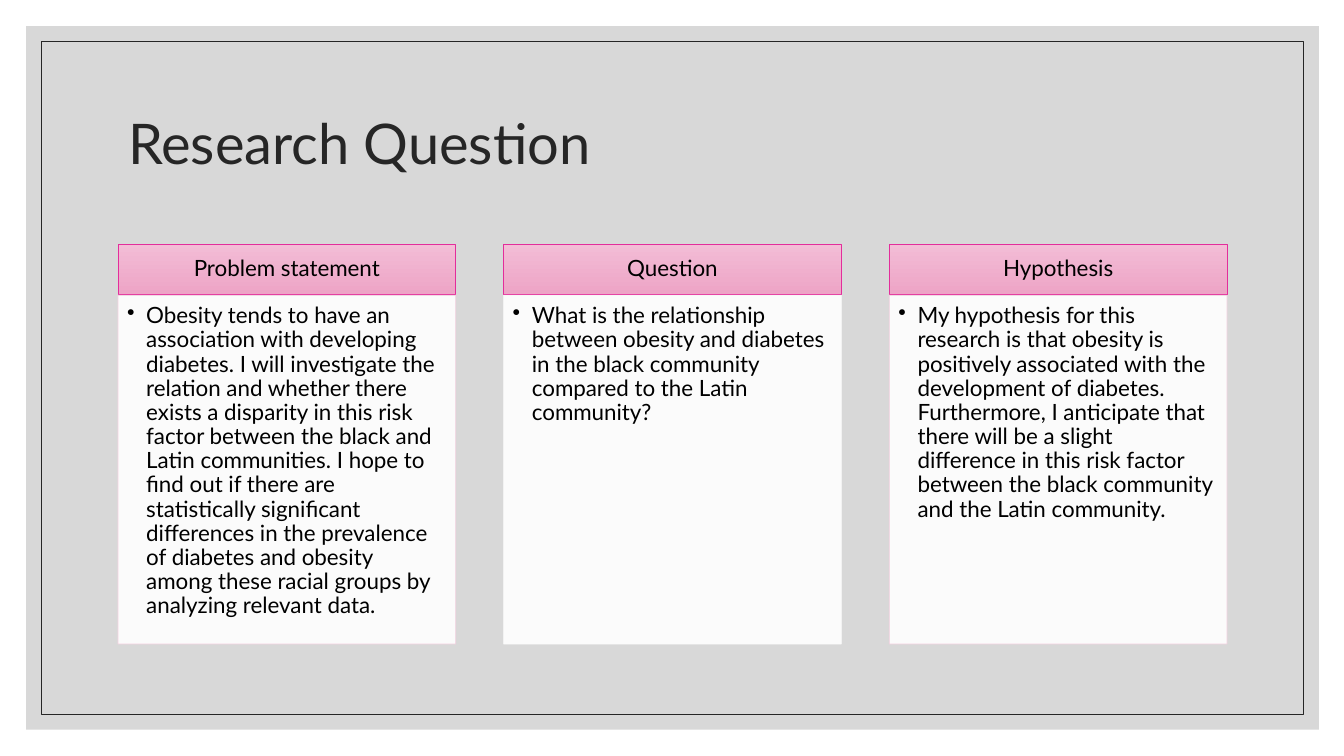
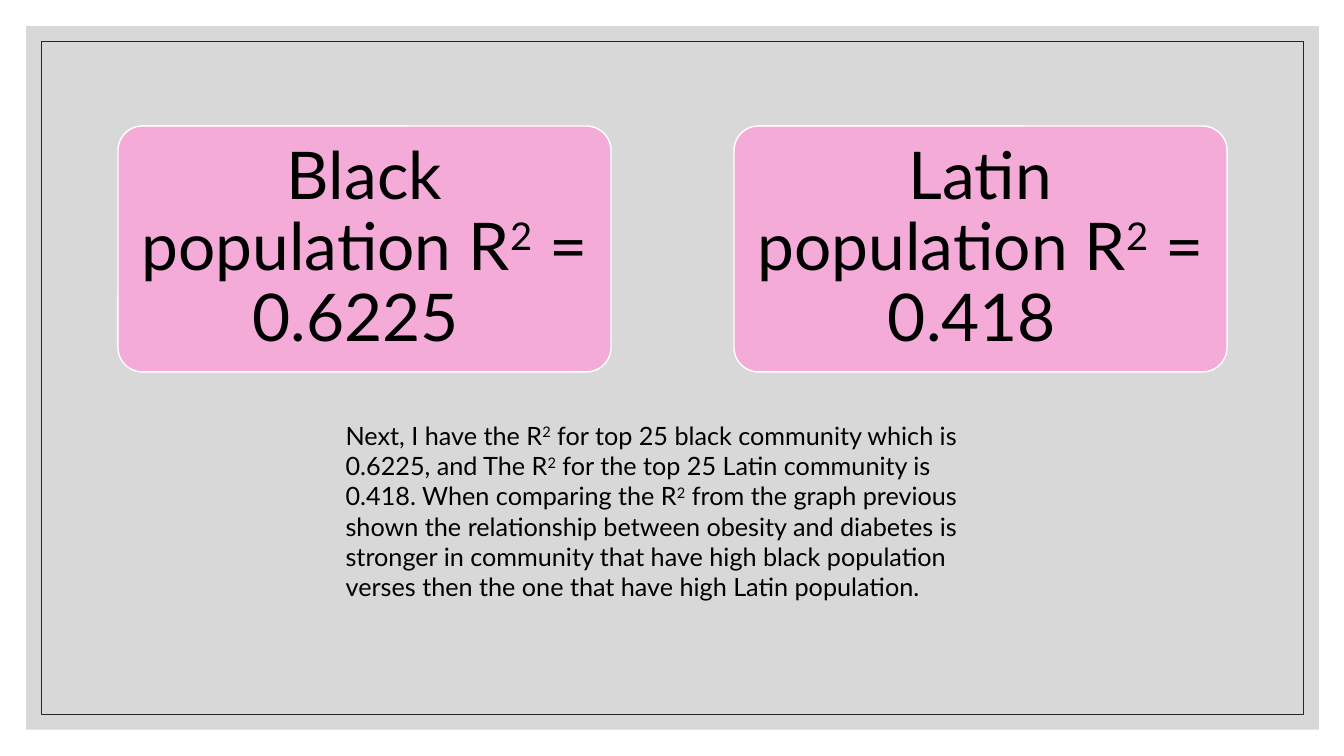
from pptx import Presentation
from pptx.dml.color import RGBColor
from pptx.enum.shapes import MSO_SHAPE
from pptx.enum.text import MSO_ANCHOR, MSO_AUTO_SIZE, PP_ALIGN
from pptx.oxml.ns import qn
from pptx.util import Inches, Pt
from lxml.etree import SubElement

COLORS = {
    "panel": "BFBFBF",
    "frame": "262626",
    "text": "000000",
    "white": "FFFFFF",
    "header_top": "F3BDD6",
    "header_bottom": "EDA4C6",
    "header_line": "E32D9B",
    "card_line": "F4CDDE",
    "result": "F4ABD7",
}
FONT = "Lato"
LEFT = 1.17
CONTENT_WIDTH = 11

COLUMNS = [
    ("Problem statement", "card_line",
     "Obesity tends to have an association with developing diabetes. I will investigate "
     "the relation and whether there exists a disparity in this risk factor between the "
     "black and Latin communities. I hope to find out if there are statistically "
     "significant differences in the prevalence of diabetes and obesity among these "
     "racial groups by analyzing relevant data."),
    ("Question", "white",
     "What is the relationship between obesity and diabetes in the black community "
     "compared to the Latin community?"),
    ("Hypothesis", "card_line",
     "My hypothesis for this research is that obesity is positively associated with the "
     "development of diabetes. Furthermore, I anticipate that there will be a slight "
     "difference in this risk factor between the black community and the Latin community."),
]
RESULTS = [
    ("Black population R", "2", " = 0.6225 "),
    ("Latin population R", "2", " = 0.418 "),
]
SUMMARY = (
    "Next, I have the R", "2",
    " for top 25 black community which is 0.6225, and The R", "2",
    " for the top 25 Latin community is 0.418. When comparing the R", "2",
    " from the graph previous shown the relationship between obesity and diabetes is "
    "stronger in community that have high black population verses then the one that "
    "have high Latin population.",
)


def rgb(name):
    """Return the named colour."""
    return RGBColor.from_string(COLORS[name])


def column_lefts(count, width):
    """Return left edges that spread equal columns over the content width."""
    step = (CONTENT_WIDTH - width) / (count - 1)
    return [LEFT + index * step for index in range(count)]


class Deck:
    """Hold the shared style and the current slide."""

    def __init__(self):
        """Start a widescreen presentation."""
        self.presentation = Presentation()
        self.presentation.slide_width = Inches(13.33)
        self.presentation.slide_height = Inches(7.5)
        self.slide = None

    def add_slide(self, layout_name):
        """Add a slide and make it current."""
        layout = self.presentation.slide_layouts.get_by_name(layout_name)
        self.slide = self.presentation.slides.add_slide(layout)

    def add_background(self):
        """Place the grey panel and the thin frame on the slide master."""
        panel = self.add_box((0.26, 0.26, 12.82, 6.98), fill="panel", alpha=60)
        frame = self.add_box((0.41, 0.41, 12.52, 6.68), line="frame")
        tree = self.presentation.slide_master.shapes.element
        for index, shape in enumerate((panel, frame)):
            shape.element.nvSpPr.cNvPr.set("id", str(100 + index))
            tree.insert(2 + index, shape.element)

    def add_box(self, box, fill=None, line=None, line_width=0.5, alpha=None,
                kind=MSO_SHAPE.RECTANGLE):
        """Add a shape; a pair of fill colours makes a vertical gradient."""
        shape = self.slide.shapes.add_shape(kind, *map(Inches, box))
        shape.shadow.inherit = False
        if isinstance(fill, tuple):
            shape.fill.gradient()
            shape.fill.gradient_angle = 270
            for stop, name in zip(shape.fill.gradient_stops, fill):
                stop.color.rgb = rgb(name)
        elif fill:
            shape.fill.solid()
            shape.fill.fore_color.rgb = rgb(fill)
        else:
            shape.fill.background()
        if line:
            shape.line.color.rgb = rgb(line)
            shape.line.width = Pt(line_width)
        else:
            shape.line.fill.background()
        if alpha:
            for color in shape.element.spPr.xpath(".//a:solidFill/a:srgbClr"):
                SubElement(color, qn("a:alpha"), val=str(alpha * 1000))
        return shape

    def set_text(self, shape, pieces, size, color="text", margins=(0.1, 0.05, 0.1, 0.05),
                 anchor=MSO_ANCHOR.MIDDLE, align=PP_ALIGN.CENTER, spacing=0.9, bullet=None):
        """Fill one paragraph in which every second piece is superscript."""
        frame = shape.text_frame
        sides = ("margin_left", "margin_top", "margin_right", "margin_bottom")
        frame_format = {"word_wrap": True, "vertical_anchor": anchor}
        frame_format.update(zip(sides, map(Inches, margins)))
        for name, value in frame_format.items():
            setattr(frame, name, value)
        paragraph = frame.paragraphs[0]
        paragraph.alignment = align
        paragraph.line_spacing = spacing
        if bullet:
            properties = paragraph._p.get_or_add_pPr()
            properties.set("marL", str(Inches(0.19)))
            properties.set("indent", str(-Inches(0.19)))
            SubElement(properties, qn("a:buChar"), char=bullet)
        for index, piece in enumerate(pieces):
            run = paragraph.add_run()
            run.text = piece
            for name, value in {"name": FONT, "size": Pt(size)}.items():
                setattr(run.font, name, value)
            run.font.color.rgb = rgb(color)
            if index % 2:
                run._r.get_or_add_rPr().set("baseline", "30000")

    def add_title(self, text):
        """Fill the title placeholder."""
        title = self.slide.shapes.title
        box = {"left": LEFT, "top": 0.7, "width": CONTENT_WIDTH, "height": 1.5}
        for name, value in box.items():
            setattr(title, name, Inches(value))
        self.set_text(title, (text,), 40, "frame", align=PP_ALIGN.LEFT)

    def add_column(self, left, width, heading, line, text):
        """Add a heading bar with a bulleted card below it."""
        header = self.add_box((left, 2.42, width, 0.5),
                              ("header_top", "header_bottom"), "header_line")
        self.set_text(header, (heading,), 16, margins=(0.12, 0.07, 0.12, 0.07))
        card = self.add_box((left, 2.93, width, 3.46), "white", line, alpha=90)
        self.set_text(card, (text,), 16, margins=(0.09, 0.09, 0.12, 0.14),
                      anchor=MSO_ANCHOR.TOP, align=PP_ALIGN.LEFT, bullet="•")

    def add_result(self, left, width, pieces):
        """Add a rounded box with a large result."""
        result = self.add_box((left, 1.25, width, 2.44), "result", "white", 1,
                              kind=MSO_SHAPE.ROUNDED_RECTANGLE)
        result.adjustments[0] = 0.1
        self.set_text(result, pieces, 47, margins=(0.1, 0.07, 0.1, 0.07))

    def add_text(self, box, pieces):
        """Add a plain text box that grows with its text."""
        text_box = self.slide.shapes.add_textbox(*map(Inches, box))
        self.set_text(text_box, pieces, 18, anchor=MSO_ANCHOR.TOP,
                      align=PP_ALIGN.LEFT, spacing=1.0)
        text_box.text_frame.auto_size = MSO_AUTO_SIZE.SHAPE_TO_FIT_TEXT


def main():
    """Build and save the two slides."""
    deck = Deck()
    deck.add_slide("Title Only")
    deck.add_background()
    deck.add_title("Research Question")
    column_width = 3.35
    for left, column in zip(column_lefts(len(COLUMNS), column_width), COLUMNS):
        deck.add_column(left, column_width, *column)

    deck.add_slide("Blank")
    result_width = 4.89
    for left, pieces in zip(column_lefts(len(RESULTS), result_width), RESULTS):
        deck.add_result(left, result_width, pieces)
    deck.add_text((3.33, 4.12, 6.67, 1.92), SUMMARY)
    deck.presentation.save("out.pptx")


if __name__ == "__main__":
    main()
